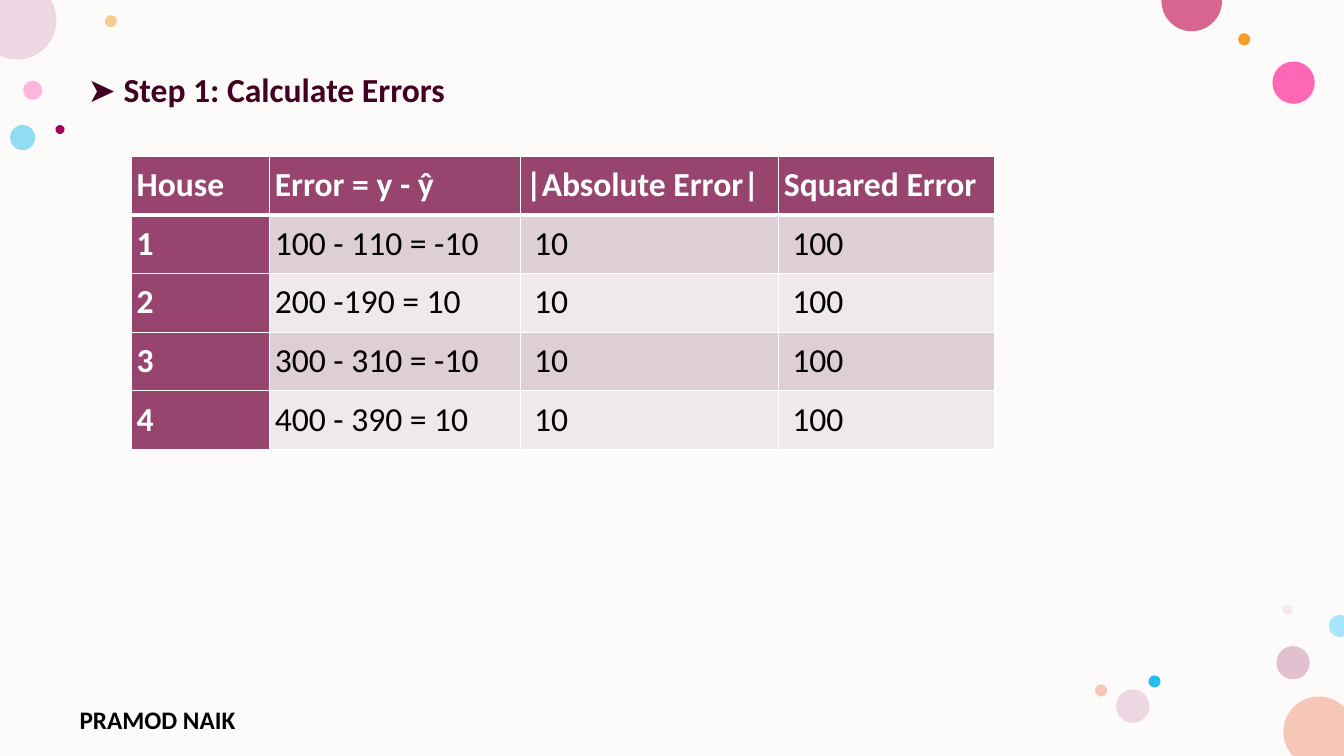
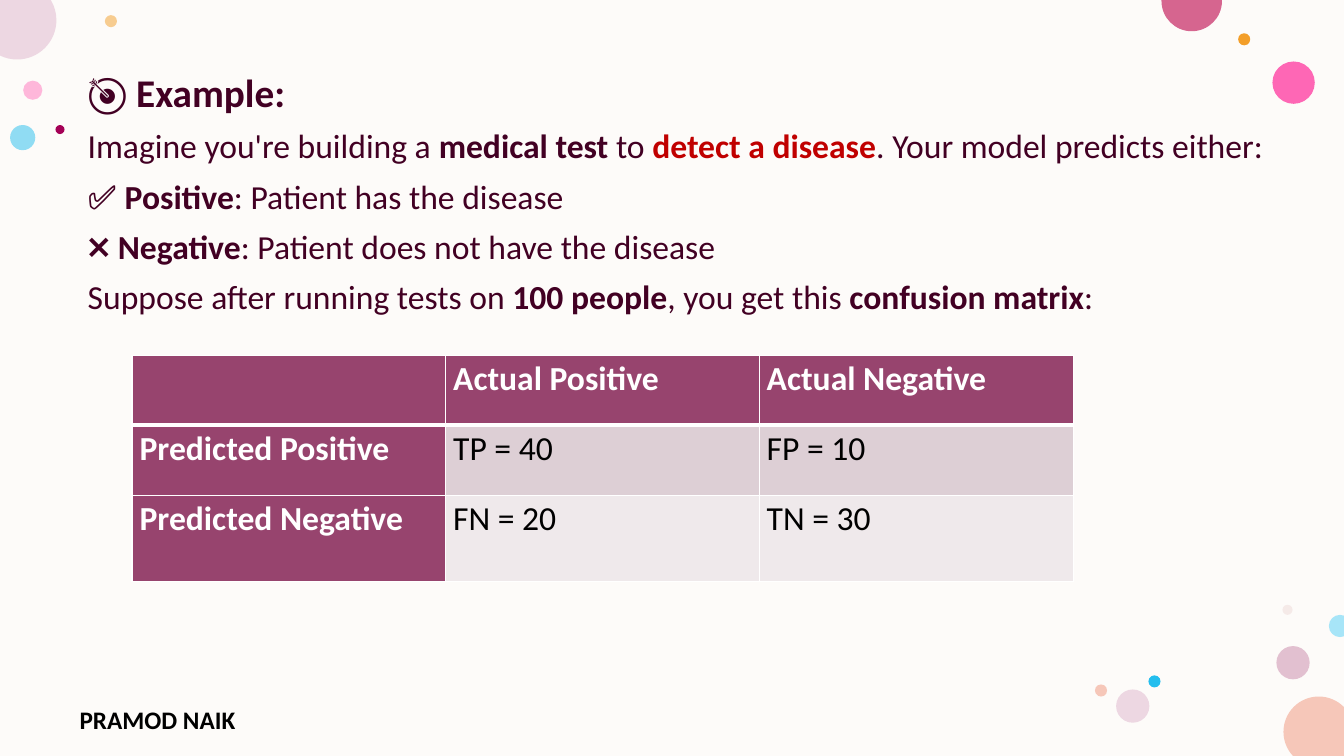
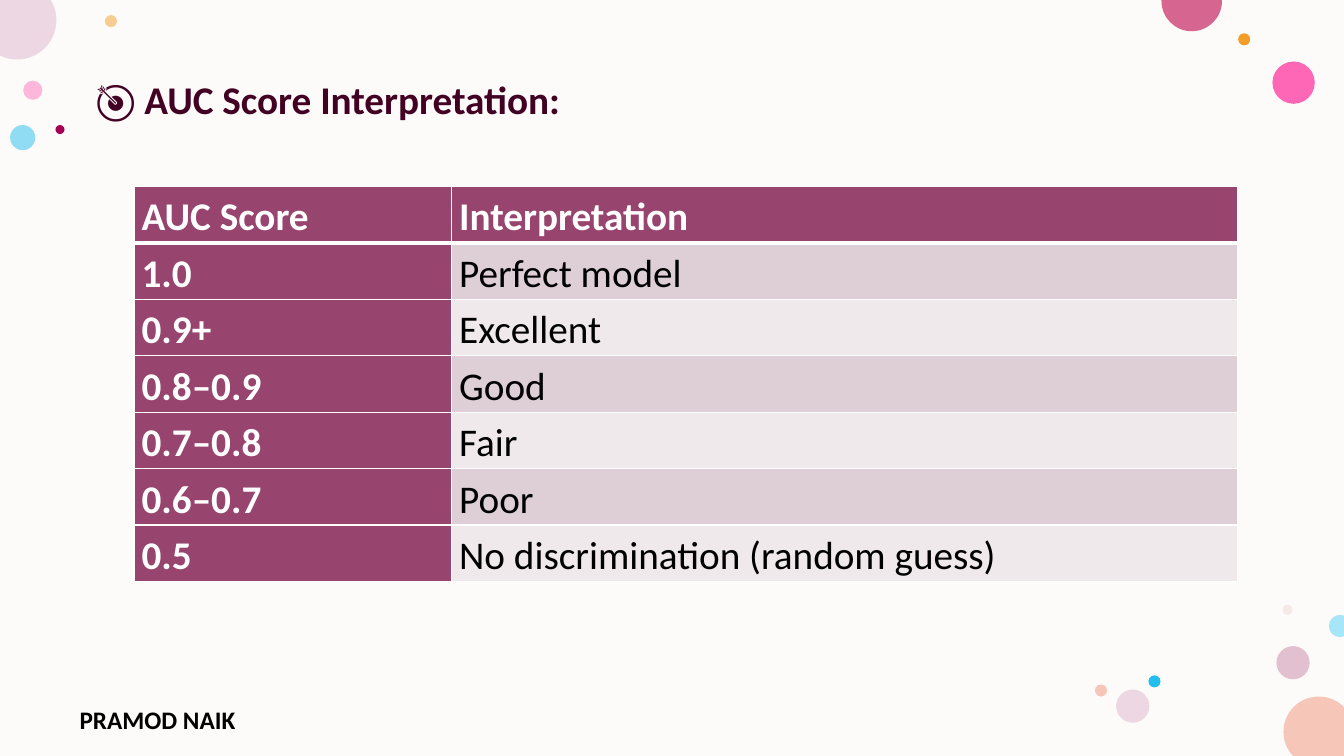
from math import acos, asin, cos, degrees, dist, radians, sin, tan

from lxml.etree import SubElement
from pptx import Presentation
from pptx.dml.color import RGBColor
from pptx.enum.shapes import MSO_SHAPE
from pptx.enum.text import MSO_AUTO_SIZE
from pptx.oxml import parse_xml
from pptx.oxml.ns import nsdecls, qn
from pptx.util import Inches, Pt

WIDTH, HEIGHT = 13.33, 7.5
PAPER, INK, PLUM = "FDFBF9", "420023", "97446E"
WHITE, BLACK = "FFFFFF", "000000"
BANDS = "DDCFD5", "EFE9EB"
AUTHOR = "PRAMOD NAIK"

# Text looks
FORMATS = {
    "title": {"size": 28, "bold": True, "color": INK},
    "step": {"size": 24, "bold": True, "color": INK},
    "plain": {"size": 24, "bold": False, "color": INK},
    "alert": {"size": 24, "bold": True, "color": "C00000"},
    "author": {"size": 18, "bold": True, "color": BLACK},
}

# Whole bubbles: left, top, diameter, colour, opacity in percent
BUBBLES = [
    (0.23, 0.8, 0.19, "FF75BD", 50),
    (1.04, 0.15, 0.12, "F39E29", 50),
    (12.66, 6.41, 0.33, "C987A8", 50),
    (0.1, 1.24, 0.25, "24BEEE", 50),
    (12.62, 0.61, 0.42, "FF2F9C", 72),
    (12.28, 0.33, 0.12, "F39E29", 100),
    (12.72, 6, 0.1, "E3BEBE", 28),
    (11.39, 6.7, 0.12, "24BEEE", 100),
    (11.07, 6.84, 0.33, "EDD7E2", 100),
    (10.86, 6.79, 0.12, "F6C7B9", 100),
    (0.55, 1.24, 0.09, "A40056", 100),
]
# Bubbles cut off by the slide's edge: centre x, centre y, radius, colour
CUT_BUBBLES = [
    (13.08, 7.26, 0.35, "F6C7B9"),
    (0.17, 0.2, 0.39, "EDD7E2"),
    (11.82, 0.01, 0.3, "D6658F"),
    (13.29, 6.21, 0.11, "A7E5F8"),
]

# Slide content: paragraphs are lists of (text, look); insets are points
HOUSES = [("1", "100 - 110 = -10"), ("2", "200 -190 = 10"),
          ("3", "300 - 310 = -10"), ("4", "400 - 390 = 10")]
PAGES = [
    {
        "body_at": (0.77, 0.68, 11.92, 6.05),
        "paragraphs": [[("➤ Step 1: Calculate Errors", "step")]],
        "table": {
            "at": (1.3, 1.55), "columns": (1.37, 2.49, 2.56, 2.15),
            "rows": [2.91 / 5] * 5, "size": 24, "spacing": 1.07,
            "inset": (4, 4), "indents": {2: 6, 3: 6},
            "cells": [("House", "Error = y - ŷ", "|Absolute Error|", "Squared Error")]
            + [(house, error, "10", "100") for house, error in HOUSES],
        },
    },
    {
        "body_at": (0.77, 0.68, 11.92, 6.05),
        "paragraphs": [
            [("🎯 Example:", "title")],
            [("Imagine you're building a ", "plain"), ("medical test", "step"),
             (" to ", "plain"), ("detect a disease", "alert"),
             (". Your model predicts either:", "plain")],
            [("✅ ", "plain"), ("Positive", "step"),
             (": Patient has the disease", "plain")],
            [("❌ ", "plain"), ("Negative", "step"),
             (": Patient does not have the disease", "plain")],
            [("Suppose after running tests on ", "plain"), ("100 people", "step"),
             (", you get this ", "plain"), ("confusion matrix", "step"), (":", "plain")],
        ],
        "table": {
            "at": (1.31, 3.53), "columns": (3.11, 3.11, 3.12),
            "rows": [0.69, 0.7, 0.85], "size": 24, "spacing": 1.07,
            "inset": (5.4, 0), "indents": {},
            "cells": [("", "Actual Positive", "Actual Negative"),
                      ("Predicted Positive", "TP = 40", "FP = 10"),
                      ("Predicted Negative", "FN = 20", "TN = 30")],
        },
    },
    {
        "body_at": (0.85, 0.75, 11.66, 6.01),
        "paragraphs": [[("🎯 AUC Score Interpretation:", "title")]],
        "table": {
            "at": (1.33, 1.85), "columns": (3.15, 7.79),
            "rows": [0.56] * 7, "size": 28, "spacing": 1.15,
            "inset": (5.4, 0), "indents": {},
            "cells": [("AUC Score", "Interpretation"), ("1.0", "Perfect model"),
                      ("0.9+", "Excellent"), ("0.8–0.9", "Good"), ("0.7–0.8", "Fair"),
                      ("0.6–0.7", "Poor"), ("0.5", "No discrimination (random guess)")],
        },
    },
]


def paint(fill, color):
    fill.solid()
    fill.fore_color.rgb = RGBColor.from_string(color)


def style(font, size, color, bold):
    for key, value in {"name": "Calibri", "size": Pt(size), "bold": bold}.items():
        setattr(font, key, value)
    font.color.rgb = RGBColor.from_string(color)


def write(paragraph, text, **look):
    run = paragraph.add_run()
    run.text = text
    style(run.font, **look)


# Shared backdrop
def finish(shape, color, opacity=100):
    shape.shadow.inherit = False
    paint(shape.fill, color)
    shape.line.fill.background()
    if opacity < 100:
        tint = shape.element.spPr.find(".//" + qn("a:srgbClr"))
        SubElement(tint, qn("a:alpha"), val=str(opacity * 1000))
    return shape


def add_paper(shapes):
    paper = shapes.add_shape(MSO_SHAPE.RECTANGLE, 0, 0, Inches(WIDTH), Inches(HEIGHT))
    return finish(paper, PAPER)


def add_bubble(shapes, left, top, size, color, opacity):
    box = map(Inches, (left, top, size, size))
    return finish(shapes.add_shape(MSO_SHAPE.OVAL, *box), color, opacity)


def visible_arc(x, y, r):
    """Angles of the edge crossings and of the quarter points between them."""
    angles = {0, 90, 180, 270}
    for edge in (0, WIDTH):
        if abs(edge - x) < r:
            turn = degrees(acos((edge - x) / r))
            angles |= {turn, 360 - turn}
    for edge in (0, HEIGHT):
        if abs(edge - y) < r:
            turn = degrees(asin((edge - y) / r))
            angles |= {turn % 360, 180 - turn}

    def on_slide(angle):
        px, py = x + r * cos(radians(angle)), y + r * sin(radians(angle))
        return -1e-6 < px < WIDTH + 1e-6 and -1e-6 < py < HEIGHT + 1e-6

    arc = sorted(filter(on_slide, angles))
    for i, angle in enumerate(arc):
        before = arc[i - 1] - (0 if i else 360)
        if not on_slide((before + angle) / 2):
            return arc[i:] + [a + 360 for a in arc[:i]]
    return arc


def add_cut_bubble(shapes, x, y, r, color):
    arc = visible_arc(x, y, r)
    rim = [(x + r * cos(radians(a)), y + r * sin(radians(a))) for a in arc]
    corners = [(cx, cy) for cx in (0, WIDTH) for cy in (0, HEIGHT)
               if dist((cx, cy), (x, y)) < r]
    points = [(Inches(px), Inches(py)) for px, py in rim + corners]
    outline = shapes.build_freeform(*points[0])
    outline.add_line_segments(points[1:], close=True)
    bubble = outline.convert_to_shape()
    # Bend the sides along the rim
    sides = bubble.element.spPr.findall(".//" + qn("a:lnTo"))
    for side, a, b, (ax, ay), (bx, by) in zip(sides, arc, arc[1:], rim, rim[1:]):
        pull = r * 4 / 3 * tan(radians(b - a) / 4)
        a, b = radians(a), radians(b)
        handles = [(ax - pull * sin(a), ay + pull * cos(a)),
                   (bx + pull * sin(b), by - pull * cos(b))]
        side.tag = qn("a:cubicBezTo")
        for i, (hx, hy) in enumerate(handles):
            handle = parse_xml(f'<a:pt {nsdecls("a")} x="{Inches(hx) - bubble.left}" '
                               f'y="{Inches(hy) - bubble.top}"/>')
            side.insert(i, handle)
    return finish(bubble, color)


def add_author(shapes):
    author = shapes.add_textbox(*map(Inches, (0.69, 6.94, 2.45, 0.32)))
    author.text_frame.word_wrap = True
    author.text_frame.auto_size = MSO_AUTO_SIZE.SHAPE_TO_FIT_TEXT
    write(author.text_frame.paragraphs[0], AUTHOR, **FORMATS["author"])
    return author


def dress_layout(layout, slide):
    """Draw the backdrop on a slide, then move it to the layout."""
    backdrop = [add_paper(slide.shapes)]
    backdrop += [add_bubble(slide.shapes, *bubble) for bubble in BUBBLES]
    backdrop += [add_cut_bubble(slide.shapes, *bubble) for bubble in CUT_BUBBLES]
    backdrop.append(add_author(slide.shapes))
    for number, part in enumerate(backdrop, start=100):
        part.element.nvSpPr.cNvPr.set("id", str(number))
        layout.shapes.element.append(part.element)


# Slide parts
def fill_body(body, at, paragraphs):
    body.left, body.top, body.width, body.height = map(Inches, at)
    frame = body.text_frame
    frame.auto_size = MSO_AUTO_SIZE.NONE
    for i, runs in enumerate(paragraphs):
        paragraph = frame.add_paragraph() if i else frame.paragraphs[0]
        properties = paragraph._p.get_or_add_pPr()
        properties.set("marL", "0")
        properties.set("indent", "0")
        SubElement(properties, qn("a:buNone"))
        paragraph.line_spacing = 0.9
        paragraph.space_before = Pt(10 if i else 0)
        for text, look in runs:
            write(paragraph, text, **FORMATS[look])


def add_borders(cell, row):
    widths = {"L": 1, "R": 1, "T": 3 if row == 1 else 1, "B": 3 if row == 0 else 1}
    for i, (side, width) in enumerate(widths.items()):
        cell._tc.get_or_add_tcPr().insert(i, parse_xml(
            f'<a:ln{side} {nsdecls("a")} w="{Pt(width)}"><a:solidFill>'
            f'<a:srgbClr val="{WHITE}"/></a:solidFill></a:ln{side}>'))


def add_grid(slide, at, columns, rows, size, spacing, inset, indents, cells):
    box = (*at, sum(columns), sum(rows))
    table = slide.shapes.add_table(len(rows), len(columns), *map(Inches, box)).table
    table.horz_banding = False
    for column, width in zip(table.columns, columns):
        column.width = Inches(width)
    for r, (height, texts) in enumerate(zip(rows, cells)):
        table.rows[r].height = Inches(height)
        for c, text in enumerate(texts):
            cell = table.cell(r, c)
            heading = r == 0 or c == 0
            side, edge = inset
            indent = 0 if heading else indents.get(c, 0)
            margins = {"left": side + indent, "right": side, "top": edge, "bottom": edge}
            for name, margin in margins.items():
                setattr(cell, f"margin_{name}", Pt(margin))
            paint(cell.fill, PLUM if heading else BANDS[(r - 1) % 2])
            add_borders(cell, r)
            paragraph = cell.text_frame.paragraphs[0]
            paragraph.line_spacing = spacing
            paragraph.space_after = Pt(8)
            if text:
                write(paragraph, text, size=size, bold=heading,
                      color=WHITE if heading else BLACK)


def main():
    deck = Presentation()
    deck.slide_width, deck.slide_height = Inches(WIDTH), Inches(HEIGHT)
    layout = deck.slide_layouts[1]
    for holder in list(layout.placeholders):
        if holder.placeholder_format.idx != 1:  # keep the body only
            layout.shapes.element.remove(holder.element)
    slides = [deck.slides.add_slide(layout) for _ in PAGES]
    dress_layout(layout, slides[0])
    for slide, page in zip(slides, PAGES):
        fill_body(slide.placeholders[1], page["body_at"], page["paragraphs"])
        add_grid(slide, **page["table"])
    deck.save("out.pptx")


if __name__ == "__main__":
    main()
